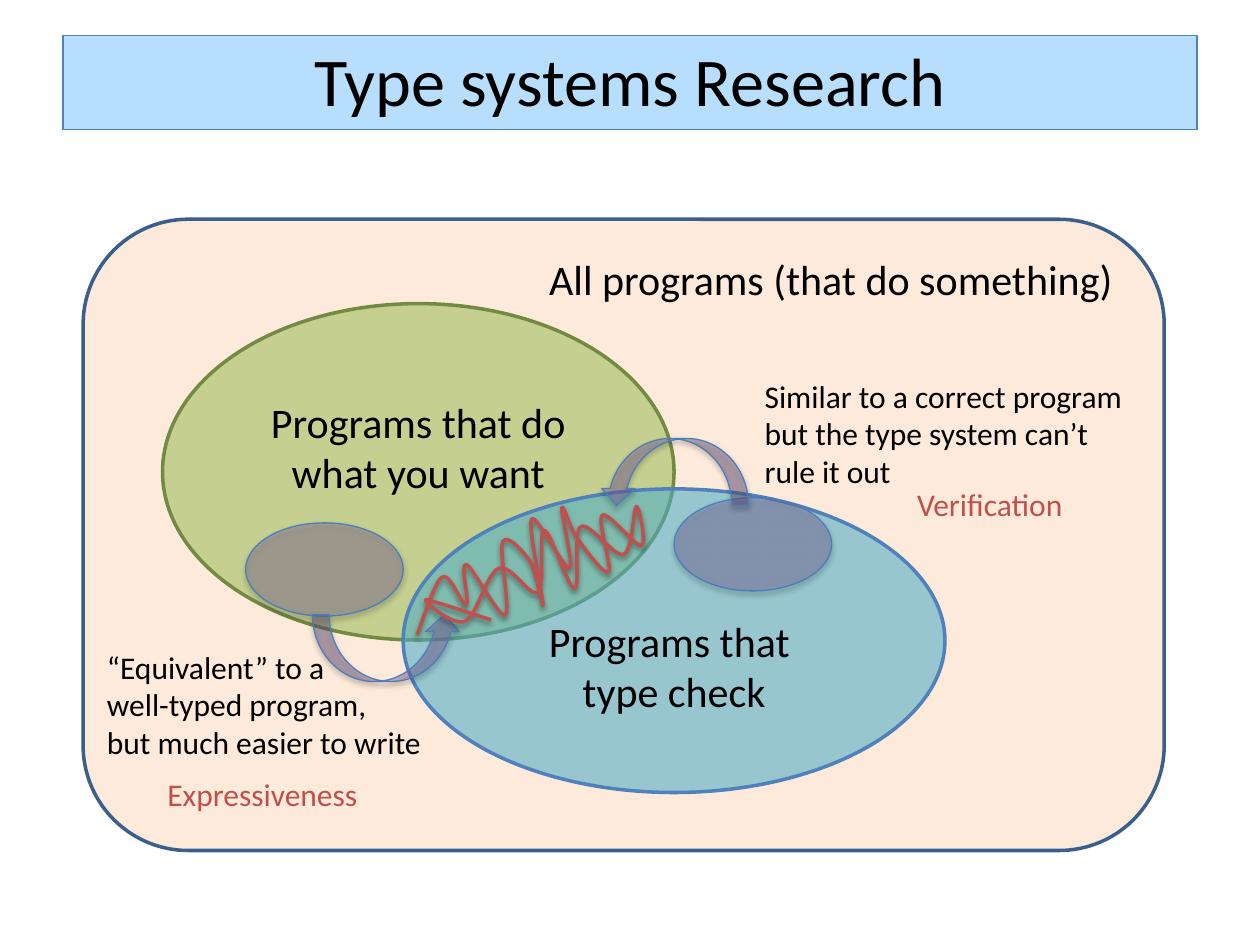
from lxml.etree import SubElement
from pptx import Presentation
from pptx.dml.color import RGBColor
from pptx.enum.shapes import MSO_SHAPE
from pptx.enum.text import MSO_ANCHOR, MSO_AUTO_SIZE, PP_ALIGN
from pptx.oxml.ns import qn
from pptx.util import Inches, Pt

INK = {"text": "000000", "title": "B7DEFD", "blue": "4F81BD", "all": "FDEADA",
       "navy": "3A5F8C", "green": "9BBB59", "olive": "738A42", "teal": "4BACC6",
       "purple": "8064A2", "edge": "4B7EBC", "red": "C0504D"}

TITLE = "Type systems Research"

# Sets: shape, box, fill, opacity, line, lines of text, top and bottom inset
SETS = [
    (MSO_SHAPE.ROUNDED_RECTANGLE, (0.66, 1.74, 8.58, 5.01), "all", 100, "navy", [], 0.05, 0.05),
    (MSO_SHAPE.OVAL, (1.29, 2.41, 4.06, 2.67), "green", 57, "olive",
     ["Programs that do what you want"], 0.05, 0.45),
    (MSO_SHAPE.OVAL, (3.2, 3.88, 4.3, 2.41), "teal", 57, "blue",
     ["Programs that ", "type check"], 0.45, 0.05),
]

# Marks that link a region to the overlap: shape, box, opacity, turn
MARKS = [
    (MSO_SHAPE.OVAL, (1.95, 4.15, 1.25, 0.74), 37, 0),
    (MSO_SHAPE.CURVED_UP_ARROW, (2.48, 4.88, 1.18, 0.53), 43, 0),
    (MSO_SHAPE.OVAL, (5.35, 3.95, 1.25, 0.74), 37, 0),
    (MSO_SHAPE.CURVED_UP_ARROW, (4.76, 3.48, 1.18, 0.53), 43, 180),
]

# Labels: box, size, colour, lines
LABELS = [
    ((4.26, 1.96, 4.72, 0.5), 24, "text", ["All programs (that do something)"]),
    ((0.75, 5.09, 2.72, 1.01), 18, "text",
     ["“Equivalent” to a", "well-typed program,", "but much easier to write"]),
    ((5.97, 2.94, 3.07, 1.01), 18, "text",
     ["Similar to a correct program", "but the type system can’t", "rule it out"]),
    ((1.23, 6.1, 1.73, 0.4), 18, "red", ["Expressiveness"]),
    ((7.18, 3.8, 1.8, 0.4), 18, "red", ["Verification"]),
]

# Knots of the scribble over the overlap
KNOTS = [(3.31, 5.04), (3.51, 4.58), (3.7, 4.8), (3.7, 4.48), (4.01, 4.88),
         (3.99, 4.3), (4.21, 4.46), (4.31, 4.8), (4.22, 4.12), (4.52, 4.51),
         (4.46, 4.03), (4.58, 4.27), (4.83, 4.54), (4.78, 4.09), (5.09, 4.33),
         (5.05, 4.02), (4.95, 4.4), (4.61, 4.18), (4.56, 4.67), (4.32, 4.21),
         (4.27, 4.7), (3.96, 4.51), (3.69, 4.93), (3.38, 4.76), (3.9, 4.92)]


def color(name):
    return RGBColor.from_string(INK[name])


def outline(shape, name, width):
    shape.line.color.rgb = color(name)
    shape.line.width = Pt(width)


def paint(shape, name, solid=100):
    shape.fill.solid()
    shape.fill.fore_color.rgb = color(name)
    if solid < 100:
        tint = shape.fill._xPr.find(qn("a:solidFill"))[0]
        SubElement(tint, qn("a:alpha"), val=str(solid * 1000))


def shade(shape, solid):
    """Give a soft shadow straight below the shape."""
    shape.shadow.inherit = False
    effects = shape._element.spPr.find(qn("a:effectLst"))
    drop = SubElement(effects, qn("a:outerShdw"), blurRad=str(Pt(3.1)),
                      dist=str(Pt(1.8)), dir="5400000", rotWithShape="0")
    tint = SubElement(drop, qn("a:srgbClr"), val=INK["text"])
    SubElement(tint, qn("a:alpha"), val=str(solid * 1000))


def write(frame, lines, size, name="text", align=PP_ALIGN.LEFT):
    for i, line in enumerate(lines):
        para = frame.add_paragraph() if i else frame.paragraphs[0]
        para.alignment = align
        run = para.add_run()
        run.text = line
        run.font.size = Pt(size)
        run.font.name = "Calibri"
        run.font.color.rgb = color(name)


def bend(shape):
    """Turn the straight segments into a smooth curve through the knots."""
    path = shape._element.spPr.find(".//" + qn("a:path"))
    pts = [(int(p.get("x")), int(p.get("y"))) for p in path.iter(qn("a:pt"))]
    for step in path.findall(qn("a:lnTo")):
        path.remove(step)
    ends = [pts[0]] + pts + [pts[-1]]
    for a, b, c, d in zip(ends, ends[1:], ends[2:], ends[3:]):
        curve = SubElement(path, qn("a:cubicBezTo"))
        out = [q + (r - p) / 6 for p, q, r in zip(a, b, c)]
        into = [r - (s - q) / 6 for q, r, s in zip(b, c, d)]
        for x, y in (out, into, c):
            SubElement(curve, qn("a:pt"), x=str(round(x)), y=str(round(y)))


def main():
    deck = Presentation()
    deck.slide_width, deck.slide_height = Inches(10), Inches(7.5)
    slide = deck.slides.add_slide(deck.slide_layouts[5])
    shapes = slide.shapes

    # Title
    title = shapes.title
    title.left, title.top, title.width, title.height = map(Inches, (0.5, 0.28, 9, 0.75))
    paint(title, "title")
    outline(title, "blue", 0.75)
    frame = title.text_frame
    frame.auto_size = MSO_AUTO_SIZE.NONE
    frame.vertical_anchor = MSO_ANCHOR.MIDDLE
    frame.margin_top, frame.margin_bottom = Inches(0.05), Inches(0.1)
    write(frame, [TITLE], 39, align=PP_ALIGN.CENTER)

    # Sets of programs
    for kind, box, fill, solid, line, lines, top, bottom in SETS:
        area = shapes.add_shape(kind, *map(Inches, box))
        area.shadow.inherit = False
        paint(area, fill, solid)
        outline(area, line, 2)
        frame = area.text_frame
        frame.word_wrap = True
        frame.vertical_anchor = MSO_ANCHOR.MIDDLE
        frame.margin_top, frame.margin_bottom = Inches(top), Inches(bottom)
        write(frame, lines, 24, align=PP_ALIGN.CENTER)

    # Regions and arrows
    for kind, box, solid, turn in MARKS:
        mark = shapes.add_shape(kind, *map(Inches, box))
        mark.rotation = turn
        paint(mark, "purple", solid)
        outline(mark, "edge", 0.75)
        shade(mark, 35)

    # Labels
    for box, size, name, lines in LABELS:
        label = shapes.add_textbox(*map(Inches, box))
        label.text_frame.word_wrap = False
        label.text_frame.auto_size = MSO_AUTO_SIZE.SHAPE_TO_FIT_TEXT
        write(label.text_frame, lines, size, name)

    # Scribble
    spots = [(Inches(x), Inches(y)) for x, y in KNOTS]
    pen = shapes.build_freeform(*spots[0])
    pen.add_line_segments(spots[1:], close=False)
    scrawl = pen.convert_to_shape()
    bend(scrawl)
    scrawl.fill.background()
    outline(scrawl, "red", 2)
    shade(scrawl, 38)

    deck.save("out.pptx")


if __name__ == "__main__":
    main()
